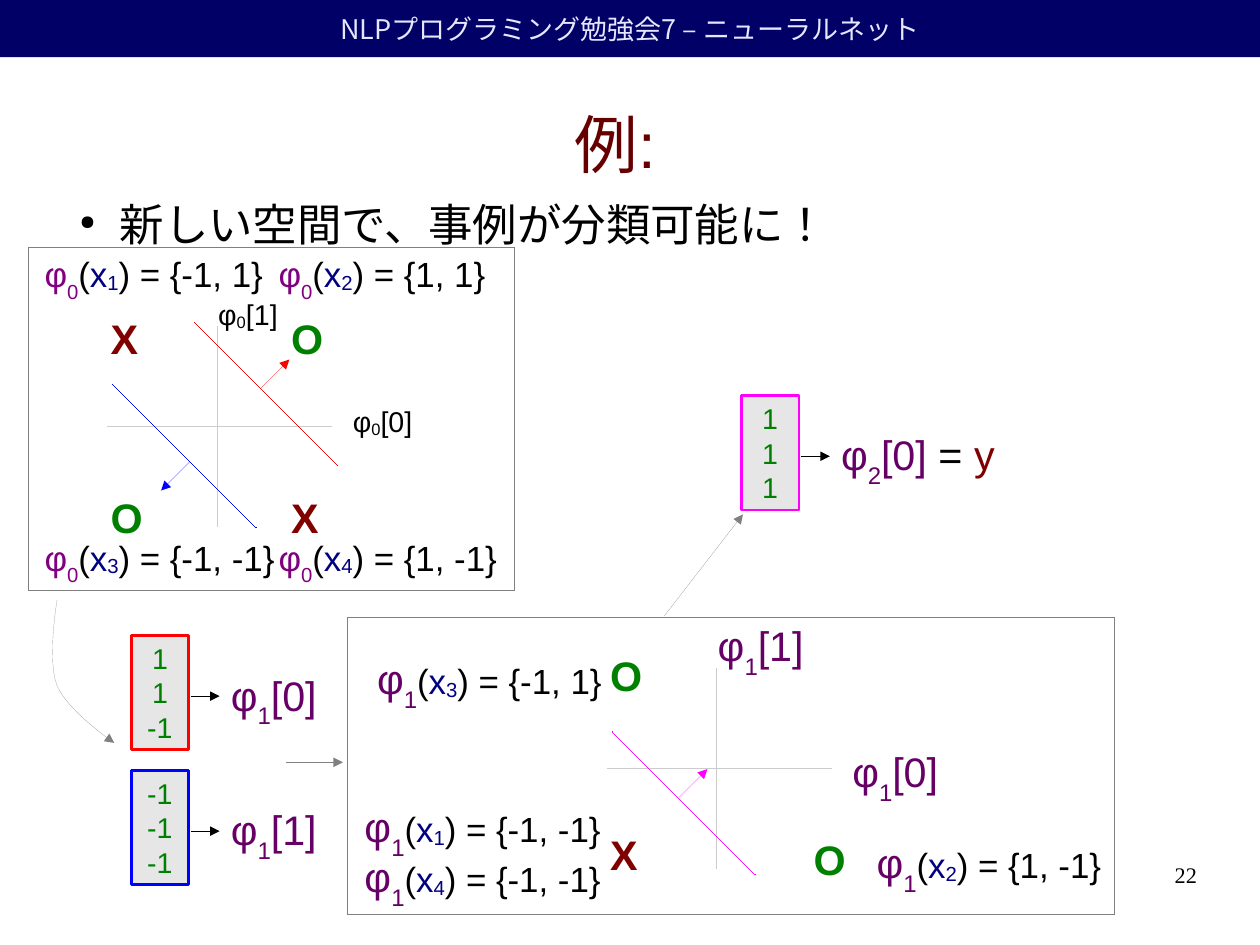
from dataclasses import dataclass
from typing import Optional

from lxml import etree
from pptx import Presentation, util as u
from pptx.dml.color import RGBColor
from pptx.enum import shapes, text
from pptx.oxml import ns

ALIGN = text.PP_ALIGN
JP = "Noto Sans CJK JP"
BLACK, GREY, GREEN, NAVY = "000000", "808080", "008000", "000080"
MAROON, PURPLE, RED, BLUE, MAGENTA = "800000", "660066", "FF0000", "0000FF", "FF00FF"
SUB, LOW = -33, -8
SLACK = 0.8


@dataclass
class Run:
    text: str
    size: float
    color: str = BLACK
    base: int = 0
    bold: bool = False
    font: str = "Arial"


@dataclass
class Point:
    layer: int
    index: int
    value: str
    left: float
    top: float
    width: float


@dataclass
class Node:
    left: float
    top: float
    color: str
    weights: tuple


@dataclass
class Separator:
    x: float
    y: float
    sign: int
    color: str


PHI = {0: (22, "800080"), 1: (26, PURPLE), 2: (26, PURPLE)}
POINTS = [
    Point(0, 2, "{1, 1}", 5.94, 5.49, 5.1),
    Point(0, 1, "{-1, 1}", 0.74, 5.49, 5.36),
    Point(0, 4, "{1, -1}", 5.94, 11.79, 5.36),
    Point(0, 3, "{-1, -1}", 0.74, 11.79, 5.61),
    Point(1, 1, "{-1, -1}", 7.85, 17.68, 5.77),
    Point(1, 2, "{1, -1}", 19.23, 18.49, 5.51),
    Point(1, 3, "{-1, 1}", 8.13, 14.4, 5.51),
    Point(1, 4, "{-1, -1}", 7.85, 18.8, 5.77),
]
MARKS = [("X", 2.21, 6.83), ("O", 2.21, 10.82), ("O", 6.22, 6.83), ("X", 6.22, 10.82),
         ("X", 13.31, 18.31), ("O", 17.83, 18.42), ("O", 13.31, 14.33)]
NODES = [Node(2.92, 14.12, RED, (1, 1, -1)), Node(2.92, 17.12, BLUE, (-1, -1, -1)),
         Node(16.48, 8.79, MAGENTA, (1, 1, 1))]
SEPARATORS = [Separator(4.32, 7.16, 1, RED), Separator(5.69, 11.73, -1, BLUE),
              Separator(13.61, 16.26, 1, MAGENTA)]
AXIS_CENTRES = [(4.83, 9.47), (15.93, 17.07)]
INPUT_AXES = [("[0]", 7.59, 8.86), ("[1]", 4.6, 6.48)]
HIDDEN_LABELS = [("[1]", 4.88, 17.75, 1.57), ("[0]", 4.88, 14.76, 1.57),
                 ("[0]", 18.69, 16.46, 1.5), ("[1]", 15.7, 13.67, 1.5)]
FRAMES = [(0.64, 5.51, 10.8, 7.62), (7.72, 13.72, 17.04, 6.6)]
FLOWS = [(6.35, 16.94, 7.62, 16.94), (14.76, 13.69, 16.51, 11.43)]
CURVE = [((1.27, 13.33), (1.27, 13.33), (1.04, 14.68), (1.27, 15.24)),
         ((1.27, 15.24), (1.5, 15.8), (2.54, 16.51), (2.54, 16.51))]


def rgb(value: str) -> RGBColor:
    return RGBColor.from_string(value)


def add_runs(p, runs: list[Run]) -> None:
    for run in runs:
        r = p.add_run()
        r.text = run.text
        r.font.size, r.font.bold, r.font.name = u.Pt(run.size), run.bold, run.font
        r.font.color.rgb = rgb(run.color)
        props = r._r.get_or_add_rPr()
        props.set("lang", "ja-JP")
        if run.base:
            props.set("baseline", str(run.base * 1000))
        etree.SubElement(props, ns.qn("a:ea")).set("typeface", JP)


def add_text(s, left: float, top: float, width: float, height: float, runs: list[Run]):
    sp = s.shapes.add_textbox(*map(u.Cm, (left, top, width, height)))
    sp.text_frame.word_wrap = True
    add_runs(sp.text_frame.paragraphs[0], runs)
    return sp


def add_label(s, left: float, top: float, width: float, height: float,
              runs: list[Run]) -> None:
    """Add a one-line label with spare room on its right."""
    add_text(s, left, top, width + SLACK, height, runs)


def clear_margins(tf) -> None:
    tf.margin_left = tf.margin_right = tf.margin_top = tf.margin_bottom = 0


def style_line(sp, color: str, weight: float = 0, arrow: bool = False) -> None:
    sp.line.color.rgb = rgb(color)
    ln = sp.line._get_or_add_ln()
    ln.set("w", str(u.Pt(weight)))  # zero must be explicit, or the theme width applies
    if arrow:
        etree.SubElement(ln, ns.qn("a:tailEnd")).set("type", "triangle")


def add_rect(s, left: float, top: float, width: float, height: float,
             fill: Optional[str], line: Optional[str], weight: float = 0):
    sp = s.shapes.add_shape(shapes.MSO_SHAPE.RECTANGLE,
                            *map(u.Cm, (left, top, width, height)))
    sp.shadow.inherit = False
    if fill:
        sp.fill.solid()
        sp.fill.fore_color.rgb = rgb(fill)
    else:
        sp.fill.background()
    if line:
        style_line(sp, line, weight)
    else:
        sp.line.fill.background()
    return sp


def add_line(parent, x1: float, y1: float, x2: float, y2: float,
             color: str, arrow: bool = False) -> None:
    sp = parent.shapes.add_connector(shapes.MSO_CONNECTOR.STRAIGHT,
                                     *map(u.Cm, (x1, y1, x2, y2)))
    style_line(sp, color, arrow=arrow)
    etree.SubElement(sp._element.spPr, ns.qn("a:effectLst"))


def add_curve(s) -> None:
    """Draw the cubic Bezier segments as one open arrow."""
    steps = 12
    dots = []
    for a, b, c, d in CURVE:
        for i in range(1, steps + 1):
            t = i / steps
            v = 1 - t
            dots.append(tuple(u.Cm(v**3 * a[k] + 3 * v * v * t * b[k]
                                   + 3 * v * t * t * c[k] + t**3 * d[k]) for k in (0, 1)))
    builder = s.shapes.build_freeform(*map(u.Cm, CURVE[0][0]))
    builder.add_line_segments(dots, close=False)
    sp = builder.convert_to_shape()
    sp.shadow.inherit = False
    sp.fill.background()
    style_line(sp, GREY, arrow=True)


def phi(layer: int) -> list[Run]:
    size, color = PHI[layer]
    return [Run("φ", size, color), Run(str(layer), size, color, SUB)]


def add_point(s, pt: Point) -> None:
    runs = phi(pt.layer) + [Run("(", 22), Run("x", 22, NAVY),
                            Run(str(pt.index), 22, NAVY, LOW), Run(f") = {pt.value}", 22)]
    add_label(s, pt.left, pt.top, pt.width, 1.5 if pt.layer else 1.37, runs)


def add_node(s, node: Node) -> None:
    sp = add_rect(s, node.left, node.top, 1.27, 2.54, "E6E6E6", node.color, 1.45)
    tf = sp.text_frame
    tf.word_wrap = False
    tf.vertical_anchor = text.MSO_ANCHOR.MIDDLE
    tf.margin_left = tf.margin_right = u.Cm(0.28)
    tf.margin_top = tf.margin_bottom = u.Cm(0.15)
    for i, weight in enumerate(node.weights):
        p = tf.add_paragraph() if i else tf.paragraphs[0]
        p.alignment = ALIGN.CENTER
        add_runs(p, [Run(str(weight), 18, GREEN)])
    x, y = node.left + 1.32, node.top + 1.35
    add_line(s, x, y, x + 0.64, y, BLACK, True)


def add_separator(s, sep: Separator) -> None:
    """Group a 45-degree boundary with the arrow to its positive side."""
    group = s.shapes.add_group_shape()
    x, y, k = sep.x, sep.y, sep.sign
    add_line(group, x, y, x + 3.18 * k, y + 3.18 * k, sep.color)
    x, y = x + 1.47 * k, y + 1.47 * k
    add_line(group, x, y, x + 0.64 * k, y - 0.64 * k, sep.color, True)


def add_headings(s) -> None:
    banner = add_rect(s, 0, 0, 28, 1.27, "000066", None)
    banner.text_frame.vertical_anchor = text.MSO_ANCHOR.MIDDLE
    p = banner.text_frame.paragraphs[0]
    p.alignment = ALIGN.CENTER
    add_runs(p, [Run("NLPプログラミング勉強会7 – ニューラルネット", 17, "E6E6FF", font=JP)])

    title = s.shapes.title
    title.left, title.top, title.width, title.height = map(u.Cm, (1.27, 1.57, 25.2, 3.23))
    tf = title.text_frame
    clear_margins(tf)
    tf.auto_size = text.MSO_AUTO_SIZE.NONE
    tf.vertical_anchor = text.MSO_ANCHOR.MIDDLE
    tf.paragraphs[0].alignment = ALIGN.CENTER
    add_runs(tf.paragraphs[0], [Run("例: ", 40, "660000")])

    body = add_text(s, 1.47, 4.37, 25.2, 1.42, [Run("新しい空間で、事例が分類可能に！", 28)])
    clear_margins(body.text_frame)
    props = body.text_frame.paragraphs[0]._p.get_or_add_pPr()
    props.set("marL", str(u.Cm(1.19)))
    props.set("indent", str(u.Cm(-0.89)))
    etree.SubElement(props, ns.qn("a:buSzPct")).set("val", "45000")
    etree.SubElement(props, ns.qn("a:buChar")).set("char", "●")


def main() -> None:
    prs = Presentation()
    prs.slide_width, prs.slide_height = u.Cm(28), u.Cm(21)
    s = prs.slides.add_slide(prs.slide_layouts[5])
    add_headings(s)
    for frame in FRAMES:
        add_rect(s, *frame, None, GREY)
    for x, y in AXIS_CENTRES:
        add_line(s, x, y - 2.21, x, y + 2.24, "CCCCCC")
        add_line(s, x - 2.44, y, x + 2.54, y, "CCCCCC")
    for sep in SEPARATORS:
        add_separator(s, sep)
    for mark, x, y in MARKS:
        color, width = (MAROON, 1.12) if mark == "X" else (GREEN, 1.22)
        add_label(s, x, y, width, 1.27, [Run(mark, 26, color, bold=True)])
    for pt in POINTS:
        add_point(s, pt)
    for axis, x, y in INPUT_AXES:
        add_label(s, x, y, 1.83, 1.17, [Run("φ", 18), Run("0", 18, base=LOW), Run(axis, 18)])
    for axis, x, y, height in HIDDEN_LABELS:
        add_label(s, x, y, 2.41, height, phi(1) + [Run(axis, 26, PURPLE)])
    for node in NODES:
        add_node(s, node)
    add_label(s, 18.44, 9.42, 3.91, 1.57,
              phi(2) + [Run("[0]", 26, PURPLE), Run(" = ", 26), Run("y", 26, MAROON)])
    add_curve(s)
    for flow in FLOWS:
        add_line(s, *flow, GREY, True)
    page = add_text(s, 20.07, 19.13, 6.53, 1.45, [Run("22", 14, font="Times New Roman")])
    clear_margins(page.text_frame)
    page.text_frame.paragraphs[0].alignment = ALIGN.RIGHT
    prs.save("out.pptx")


if __name__ == "__main__":
    main()
